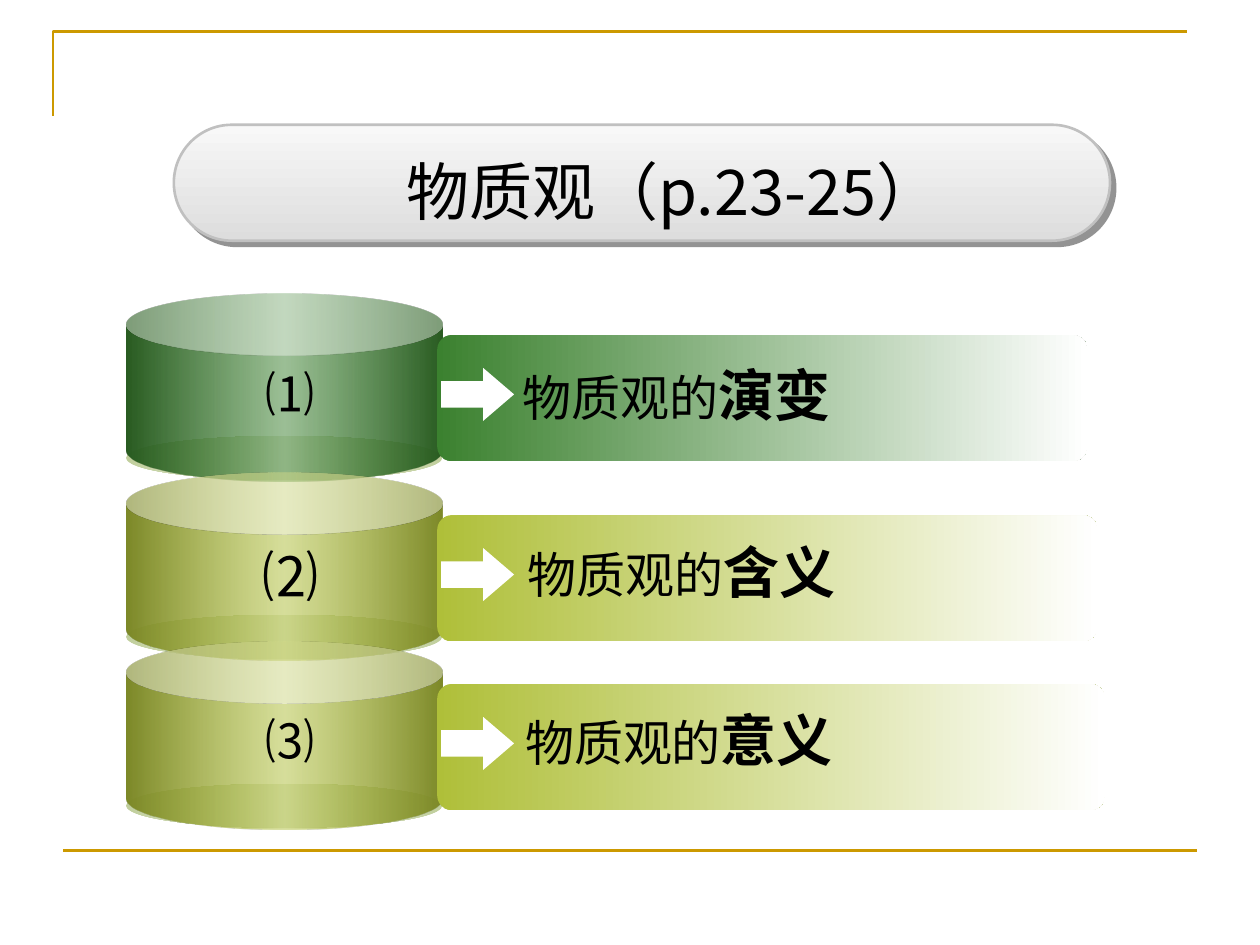
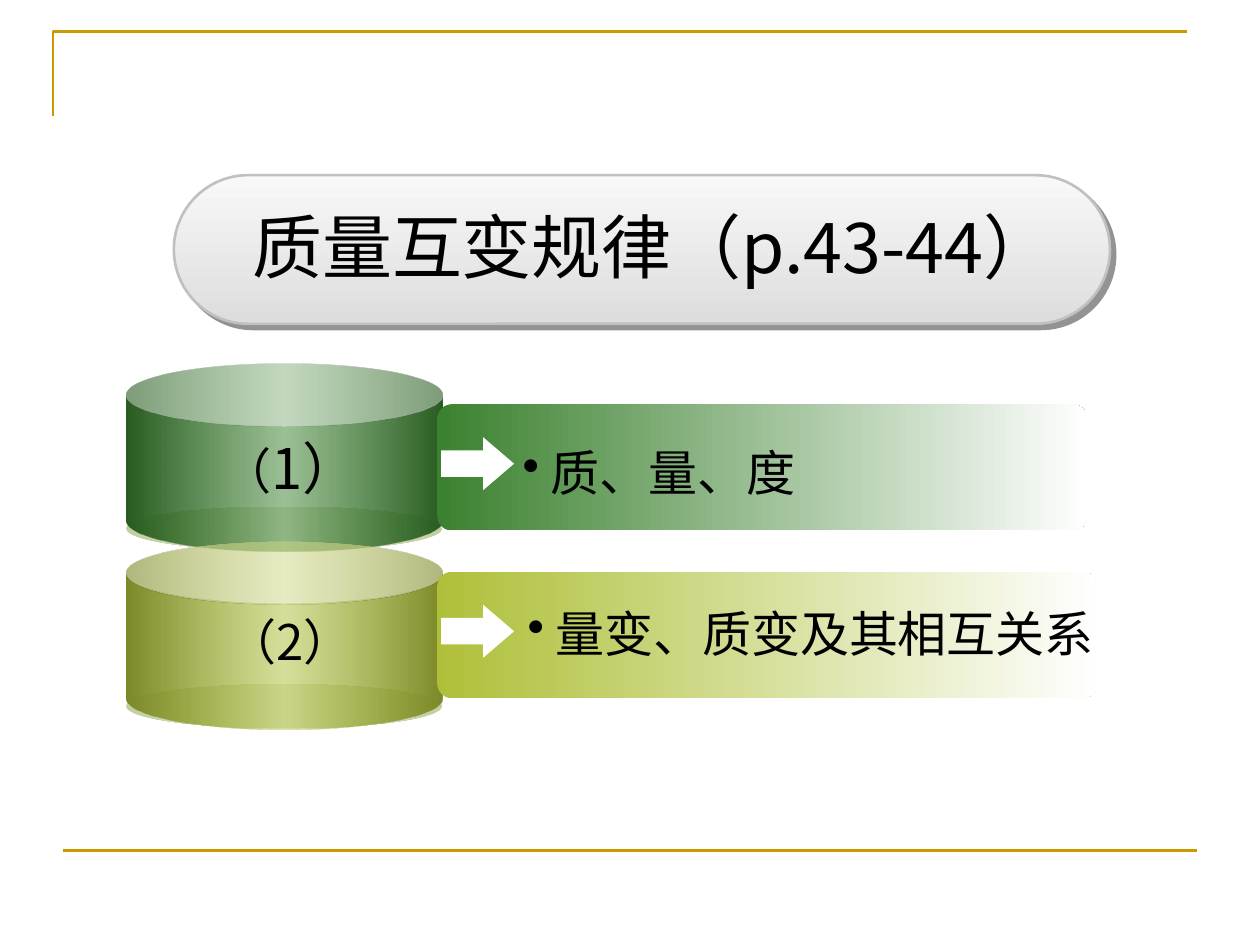
from dataclasses import dataclass

from lxml.etree import SubElement
from pptx import Presentation
from pptx.dml.color import RGBColor
from pptx.enum.shapes import MSO_CONNECTOR as Connector, MSO_SHAPE as Shape
from pptx.enum.text import MSO_ANCHOR as Anchor, PP_ALIGN as Align
from pptx.oxml import parse_xml
from pptx.oxml.ns import nsdecls, qn
from pptx.util import Inches, Pt


@dataclass(frozen=True)
class Theme:
    font: str = "Noto Sans CJK SC"
    text: str = "000000"
    rule: str = "CC9900"
    arrow: str = "FFFFFF"
    pill_edge: str = "C0C0C0"
    pill_shadow: str = "292929"
    pill: tuple = ((0, "F8F8F8"), (100, "DDDDDD"))
    base: tuple = ((0, "C1CF9D"), (50, "E7ECDC"), (100, "C1CF9D"))
    body_size: int = 28
    strong_size: int = 32
    line: float = 1.5


THEME = Theme()
GREEN = {"dark": "2A5C22", "bright": "3B812F"}
OLIVE = {"dark": "7D8929", "bright": "AFBF39"}
BODY, STRONG = THEME.body_size, THEME.strong_size

# Runs are (text, size, bold); lengths are inches on the 10 x 7.5 slide.
SLIDES = [
    {
        "title": "物质观（p.23-25）", "title_size": 36,
        "title_center": 5.34, "title_top": 1.16,
        "pill_top": 0.99, "pill_height": 0.92,
        "rows": [
            {"colors": GREEN, "can_top": 2.33, "bar_top": 2.66, "bar_width": 5.16,
             "label": [("⑴", BODY, False)], "text_at": (4.05, 2.81),
             "text": [("物质观的", BODY, False), ("演变", STRONG, True)]},
            {"colors": OLIVE, "can_top": 3.75, "bar_top": 4.09, "bar_width": 5.24,
             "label": [("⑵", STRONG, False)], "text_at": (4.09, 4.22),
             "text": [("物质观的", BODY, False), ("含义", STRONG, True)]},
            {"colors": OLIVE, "can_top": 5.09, "bar_top": 5.43, "bar_width": 5.3,
             "label": [("⑶", BODY, False)], "text_at": (4.07, 5.55),
             "text": [("物质观的", BODY, False), ("意义", STRONG, True)]},
        ],
    },
    {
        "title": "质量互变规律（p.43-44）", "title_size": 40,
        "title_center": 5.18, "title_top": 1.56,
        "pill_top": 1.39, "pill_height": 1.18,
        "rows": [
            {"colors": GREEN, "can_top": 2.89, "bar_top": 3.21, "bar_width": 5.16,
             "label": [("（", BODY, False), ("1）", STRONG, False)],
             "text_at": (4.05, 3.46), "bullet": True,
             "text": [("质、量、度", BODY, False)]},
            {"colors": OLIVE, "can_top": 4.3, "bar_top": 4.54, "bar_width": 5.24,
             "label": [("（2）", BODY, False)],
             "text_at": (4.09, 4.74), "bullet": True,
             "text": [("量变、质变及其相互关系", BODY, False)]},
        ],
    },
]


def inches(*lengths):
    return [Inches(length) for length in lengths]


def gradient(shape, stops, angle=0):
    """Fill with stops of (position, colour) or (position, colour, opacity), in percent."""
    shape.fill.background()
    plain = shape._element.spPr.find(qn("a:noFill"))
    fill = parse_xml(f'<a:gradFill {nsdecls("a")} rotWithShape="1"><a:gsLst/>'
                     f'<a:lin ang="{angle * 60000}" scaled="1"/></a:gradFill>')
    for position, color, *opacity in stops:
        stop = SubElement(fill[0], qn("a:gs"), pos=str(position * 1000))
        tint = SubElement(stop, qn("a:srgbClr"), val=color)
        for percent in opacity:
            SubElement(tint, qn("a:alpha"), val=str(percent * 1000))
    plain.getparent().replace(plain, fill)


def add_preset(slide, kind, box, adjustments=()):
    shape = slide.shapes.add_shape(kind, *inches(*box))
    shape.shadow.inherit = False
    shape.line.fill.background()
    for index, value in enumerate(adjustments):
        shape.adjustments[index] = value
    return shape


def style_line(shape, color):
    shape.line.color.rgb = RGBColor.from_string(color)
    shape.line.width = Pt(THEME.line)


def box_height(size):
    """Height of a one-line text box, with its insets."""
    return round(size * 1.2 / 72 + 0.1, 2)


def write(shape, runs, align, bullet=False):
    frame = shape.text_frame
    frame.word_wrap = True
    frame.vertical_anchor = Anchor.MIDDLE
    paragraph = frame.paragraphs[0]
    paragraph.alignment = align
    if bullet:
        properties = paragraph._p.get_or_add_pPr()
        indent = Inches(0.22)
        properties.set("marL", str(indent))
        properties.set("indent", str(-indent))
        SubElement(properties, qn("a:buChar"), char="•")
    for text, size, bold in runs:
        run = paragraph.add_run()
        run.text = text
        font = run.font
        font.name, font.size, font.bold = THEME.font, Pt(size), bold
        font.color.rgb = RGBColor.from_string(THEME.text)
        SubElement(run._r.get_or_add_rPr(), qn("a:ea"), typeface=THEME.font)


def add_text(slide, left, top, width, runs, align, bullet=False):
    height = box_height(max(size for _, size, _ in runs))
    write(slide.shapes.add_textbox(*inches(left, top, width, height)), runs, align, bullet)


def add_frame(slide, layout):
    """Draw the gold rules and move them to the layout that all slides share."""
    builder = slide.shapes.build_freeform(*inches(0.42, 0.92))
    builder.add_line_segments([inches(0.42, 0.25), inches(9.42, 0.25)], close=False)
    corner = builder.convert_to_shape()
    corner.shadow.inherit = False
    corner.fill.background()
    footer = slide.shapes.add_connector(Connector.STRAIGHT, *inches(0.5, 6.75, 9.5, 6.75))
    SubElement(footer._element.spPr, qn("a:effectLst"))
    for rule in (corner, footer):
        style_line(rule, THEME.rule)
        layout.shapes._spTree.append(rule._element)


def add_title(slide, content):
    box = (1.38, content["pill_top"], 7.43, content["pill_height"])
    pill = add_preset(slide, Shape.ROUNDED_RECTANGLE, box, [0.5])
    gradient(pill, THEME.pill, 90)
    style_line(pill, THEME.pill_edge)
    effects = pill._element.spPr.find(qn("a:effectLst"))
    shadow = SubElement(effects, qn("a:outerShdw"), dist=str(Pt(4.2)), dir=str(45 * 60000),
                        algn="ctr", rotWithShape="0")
    tint = SubElement(shadow, qn("a:srgbClr"), val=THEME.pill_shadow)
    SubElement(tint, qn("a:alpha"), val="50000")

    title, width, size = slide.shapes.title, 7.35, content["title_size"]
    title.left, title.top, title.width, title.height = inches(
        content["title_center"] - width / 2, content["title_top"], width, box_height(size))
    write(title, [(content["title"], size, False)], Align.CENTER)
    slide.shapes._spTree.append(title._element)


def add_row(slide, row):
    can_top, bar_top = row["can_top"], row["bar_top"]
    dark, bright = row["colors"]["dark"], row["colors"]["bright"]
    base = add_preset(slide, Shape.OVAL, (1, can_top + 1.13, 2.51, 0.35))
    gradient(base, THEME.base)
    can = add_preset(slide, Shape.CAN, (1, can_top, 2.51, 1.49), [0.332])
    gradient(can, [(0, dark), (50, bright, 50), (100, dark)])
    bar = add_preset(slide, Shape.ROUNDED_RECTANGLE,
                     (3.47, bar_top, row["bar_width"], 1), [0.115])
    gradient(bar, [(0, bright), (100, "FFFFFF")])
    arrow = add_preset(slide, Shape.RIGHT_ARROW, (3.5, bar_top + 0.26, 0.58, 0.42),
                       [0.5, 0.583])
    arrow.fill.solid()
    arrow.fill.fore_color.rgb = RGBColor.from_string(THEME.arrow)
    add_text(slide, 1.14, can_top + 0.5, 2.33, row["label"], Align.CENTER)
    add_text(slide, *row["text_at"], 4.9, row["text"], Align.LEFT, row.get("bullet", False))


def main():
    presentation = Presentation()
    presentation.slide_width, presentation.slide_height = inches(10, 7.5)
    layout = presentation.slide_layouts.get_by_name("Title Only")
    for number, content in enumerate(SLIDES):
        slide = presentation.slides.add_slide(layout)
        if number == 0:
            add_frame(slide, layout)
        add_title(slide, content)
        for row in content["rows"]:
            add_row(slide, row)
    presentation.save("out.pptx")


if __name__ == "__main__":
    main()
